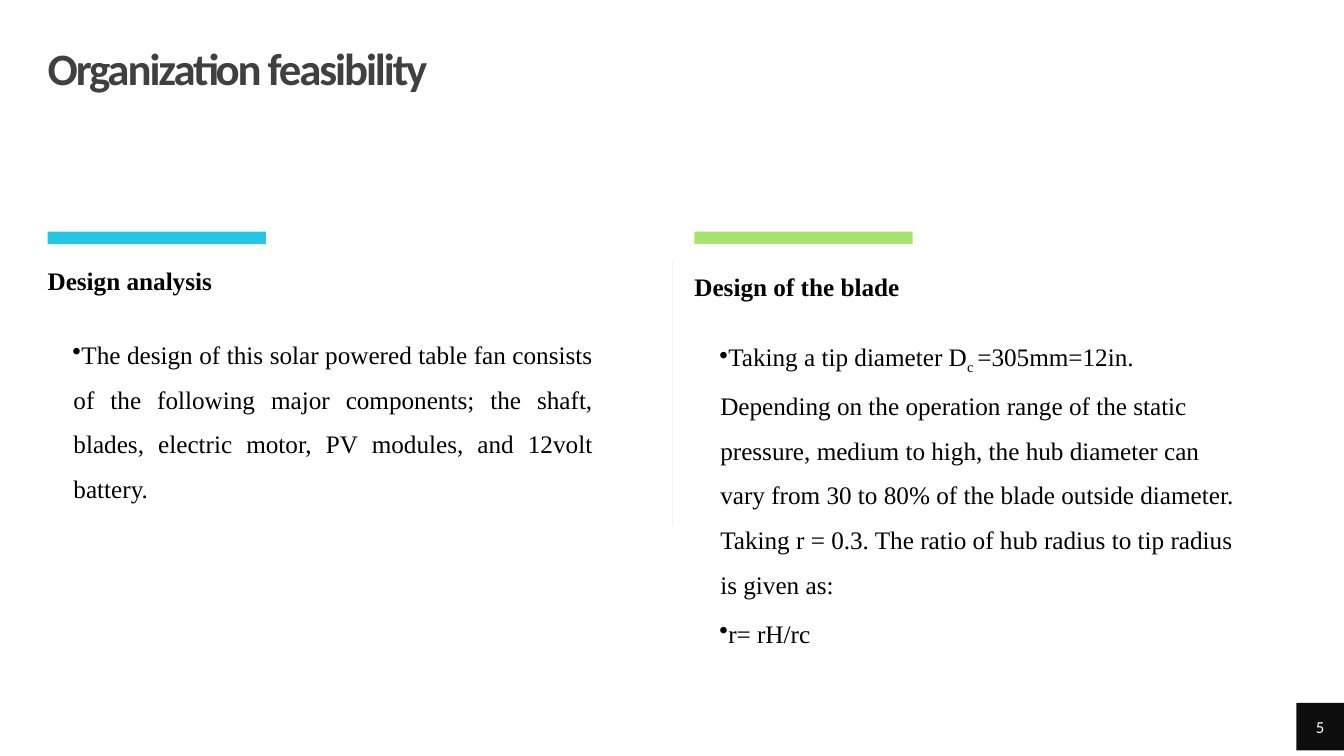
from lxml.etree import SubElement
from pptx import Presentation
from pptx.dml.color import RGBColor
from pptx.enum.shapes import MSO_CONNECTOR as Connector, MSO_SHAPE as Shape
from pptx.enum.text import MSO_ANCHOR as Anchor, PP_ALIGN as Align
from pptx.oxml.ns import qn
from pptx.util import Pt

SERIF = "Times New Roman"
SANS = "Calibri"


def color(hex_code):
    return RGBColor.from_string(hex_code)


def prepare_frame(shape, anchor=Anchor.TOP):
    frame = shape.text_frame
    frame.word_wrap = True
    frame.vertical_anchor = anchor
    frame.margin_left = frame.margin_right = 0
    frame.margin_top = frame.margin_bottom = 0
    return frame


def add_frame(page, left, top, width, height, anchor=Anchor.TOP):
    box = page.shapes.add_textbox(Pt(left), Pt(top), Pt(width), Pt(height))
    return prepare_frame(box, anchor)


def style(para, size, font, hex_code, bold=False, spacing=1.0, after=0,
          align=Align.LEFT):
    para.font.size = Pt(size)
    para.font.name = font
    para.font.bold = bold
    para.font.color.rgb = color(hex_code)
    para.line_spacing = spacing
    para.space_after = Pt(after)
    para.alignment = align


def add_bullet(para):
    """Set a bullet directly before the text, with indented margins."""
    props = para._p.get_or_add_pPr()
    props.set("marL", str(Pt(18.5)))
    props.set("marR", str(Pt(41)))
    props.set("indent", str(Pt(-0.7)))
    SubElement(props, qn("a:buChar"), char="•")


def add_block(page, left, top, width, height, fill):
    block = page.shapes.add_shape(Shape.RECTANGLE, Pt(left), Pt(top),
                                  Pt(width), Pt(height))
    block.shadow.inherit = False
    block.fill.solid()
    block.fill.fore_color.rgb = color(fill)
    block.line.fill.background()
    return block


def add_title(page, left, top, width, height, text):
    para = add_frame(page, left, top, width, height, Anchor.MIDDLE).paragraphs[0]
    span = para.add_run()
    span.text = text
    style(para, 32, SANS, "404040", bold=True, spacing=0.9)
    span.font._element.set("spc", "-150")


def add_column(page, left, top, width, accent, heading, heading_spacing, items):
    """Items are (spans, align, line spacing, space after); a span is (text, baseline)."""
    add_block(page, left, top, 156, 9, accent)

    para = add_frame(page, left, top + 26.5, width, 28).paragraphs[0]
    para.text = heading
    style(para, 18, SERIF, "000000", bold=True, spacing=heading_spacing)

    frame = add_frame(page, left, top + 66.5, width, 256)
    for index, (spans, align, spacing, after) in enumerate(items):
        para = frame.add_paragraph() if index else frame.paragraphs[0]
        style(para, 18, SERIF, "000000", spacing=spacing, after=after, align=align)
        add_bullet(para)
        for text, baseline in spans:
            span = para.add_run()
            span.text = text
            if baseline:
                span.font._element.set("baseline", str(baseline * 1000))


def add_divider(page, x, top, bottom):
    line = page.shapes.add_connector(Connector.STRAIGHT, Pt(x), Pt(top),
                                     Pt(x), Pt(bottom))
    line.line.color.rgb = color("F2F2F2")
    line.line.width = Pt(0.5)
    SubElement(line._element.spPr, qn("a:effectLst"))


def add_page_number(page, left, top, side, number):
    block = add_block(page, left, top, side, side, "0D0D0D")
    para = prepare_frame(block, Anchor.MIDDLE).paragraphs[0]
    para.text = number
    style(para, 12, SANS, "FFFFFF", align=Align.CENTER)


def main():
    deck = Presentation()
    deck.slide_width, deck.slide_height = Pt(960), Pt(540)
    page = deck.slides.add_slide(deck.slide_layouts[6])

    add_title(page, 34, 34, 892, 34, "Organization feasibility")

    components = ("The design of this solar powered table fan consists of the "
                  "following major components; the shaft, blades, electric motor, "
                  "PV modules, and 12volt battery.")
    add_column(page, 34, 165.5, 430.5, "25C6E3", "Design analysis", 0.9,
               [([(components, 0)], Align.JUSTIFY, 1.48, 12.1)])

    add_divider(page, 480, 186, 376)

    hub = ("=305mm=12in. Depending on the operation range of the static pressure, "
           "medium to high, the hub diameter can vary from 30 to 80% of the blade "
           "outside diameter. Taking r = 0.3. The ratio of hub radius to tip radius "
           "is given as:")
    add_column(page, 496, 165.5, 430.5, "A9E26F", "Design of the blade", 1.07,
               [([("Taking a tip diameter D", 0), ("c ", -25), (hub, 0)],
                 Align.LEFT, 1.48, 12.2),
                ([("r= rH/rc", 0)], Align.JUSTIFY, 1.07, 16.8)])

    add_page_number(page, 926, 502, 34, "5")
    deck.save("out.pptx")


if __name__ == "__main__":
    main()
